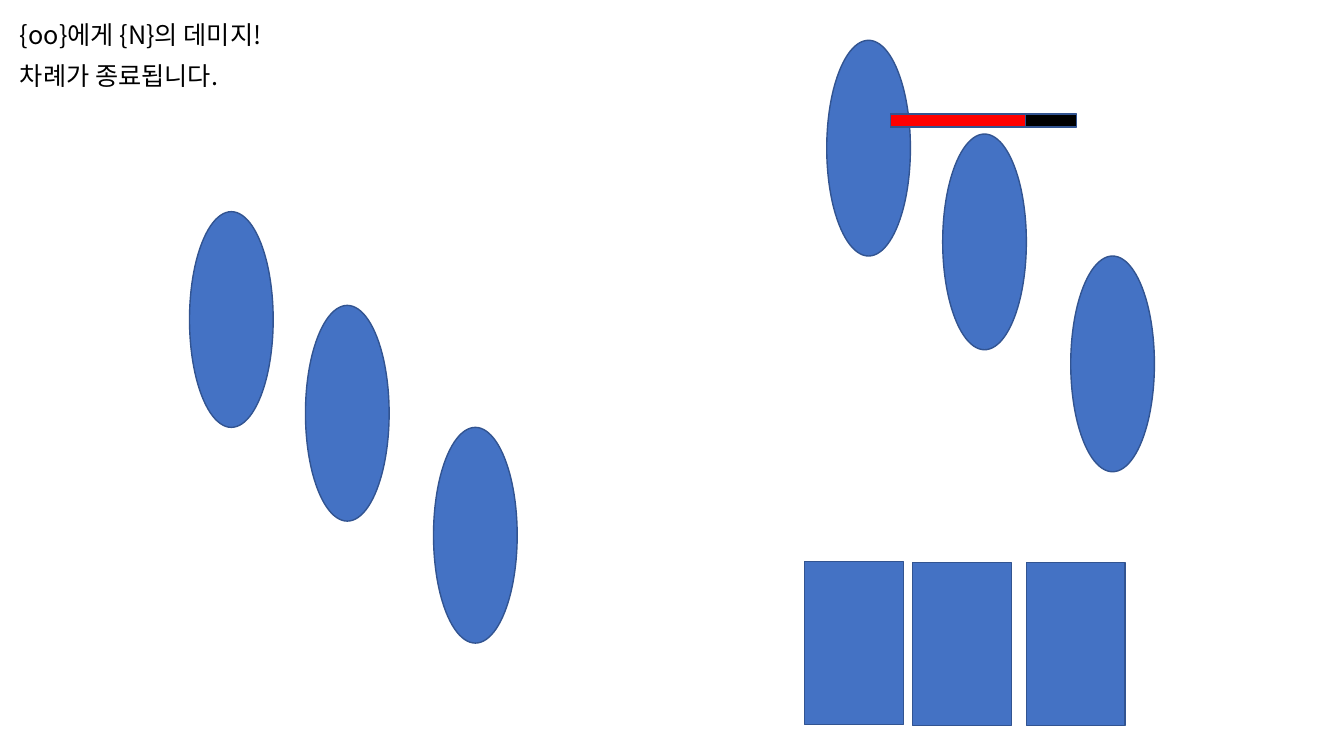
from lxml import etree
from pptx import Presentation
from pptx.dml.color import RGBColor
from pptx.enum import shapes, text
from pptx.oxml import ns
from pptx.util import Inches, Pt

# Content
FONT = "Noto Sans CJK KR"
BLUE, OUTLINE, BLACK, RED = "4472C4", "325491", "000000", "FF0000"
MESSAGES = [("{oo}에게 {N}의 데미지!", 0.14, 2.77), ("차례가 종료됩니다.", 0.55, 2.37)]

# Layout in inches: each team repeats one diagonal formation
TEAM_ORIGINS = [(1.88, 2.1), (8.2, 0.4)]
FORMATION = [(0, 0), (1.15, 0.93), (2.42, 2.14)]
FIGHTER_SIZE = (0.83, 2.14)
CARDS = [(9.05, 5.58), (10.18, 5.58), (7.98, 5.57)]
CARD_SIZE = (0.98, 1.62)
BAR_AT, BAR_SIZE, HEALTH_WIDTH = (8.83, 1.13), (1.85, 0.13), 1.34

prs = Presentation()
prs.slide_width, prs.slide_height = Inches(13.33), Inches(7.5)
s = prs.slides.add_slide(prs.slide_layouts[6])


def color(value):
    return RGBColor.from_string(value)


def add_block(kind, at, size, fill=BLUE):
    sp = s.shapes.add_shape(kind, *map(Inches, at + size))
    sp.shadow.inherit = False
    sp.fill.solid()
    sp.fill.fore_color.rgb = color(fill)
    sp.line.color.rgb = color(OUTLINE)
    sp.line.width = Pt(1)


def add_message(words, top, width):
    sp = s.shapes.add_textbox(Inches(0.1), Inches(top), Inches(width), Inches(0.4))
    tf = sp.text_frame
    tf.word_wrap = False
    tf.auto_size = text.MSO_AUTO_SIZE.SHAPE_TO_FIT_TEXT
    r = tf.paragraphs[0].add_run()
    r.text = words
    r.font.size = Pt(18)
    r.font.name = FONT
    r.font.color.rgb = color(BLACK)
    # Hangul takes the East Asian typeface
    etree.SubElement(r.font._element, ns.qn("a:ea"), typeface=FONT)


# Fighters
for x, y in TEAM_ORIGINS:
    for dx, dy in FORMATION:
        add_block(shapes.MSO_SHAPE.OVAL, (x + dx, y + dy), FIGHTER_SIZE)

# Cards
for at in CARDS:
    add_block(shapes.MSO_SHAPE.RECTANGLE, at, CARD_SIZE)

# Health bar: black track, then red remaining health
add_block(shapes.MSO_SHAPE.RECTANGLE, BAR_AT, BAR_SIZE, BLACK)
add_block(shapes.MSO_SHAPE.RECTANGLE, BAR_AT, (HEALTH_WIDTH, BAR_SIZE[1]), RED)

# Battle messages
for words, top, width in MESSAGES:
    add_message(words, top, width)

prs.save("out.pptx")
